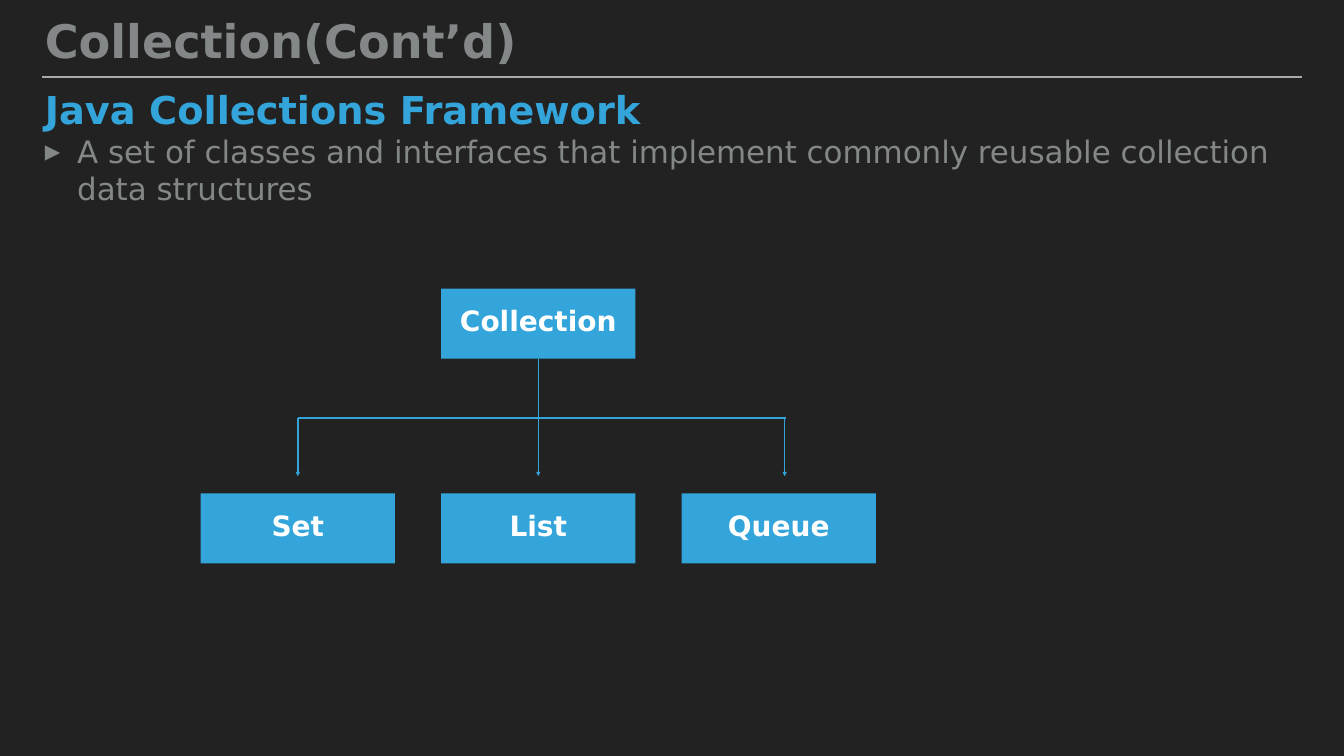
from dataclasses import dataclass

from lxml import etree
from pptx import Presentation
from pptx.dml.color import RGBColor
from pptx.enum.shapes import MSO_CONNECTOR, MSO_SHAPE
from pptx.enum.text import MSO_ANCHOR, PP_ALIGN
from pptx.oxml.ns import qn
from pptx.util import Cm, Pt

COLORS = {
    "background": "222222",
    "rule": "A6AAA9",
    "grey": "838787",
    "blue": "34A5DA",
    "white": "FFFFFF",
}
FONT = "DejaVu Sans"
BOX_WIDTH, BOX_HEIGHT = 9.8, 3.53
BOX_PITCH = 12.12
FIRST_BOX_LEFT = 10.11
PARENT_TOP, CHILD_TOP = 14.55, 24.87
BRANCH_Y, ARROW_END_Y = 21.06, 24.0
QUEUE_ARROW_X, BRANCH_RIGHT = 39.55, 39.62


@dataclass
class TextStyle:
    size: float
    color: str
    bold: bool = True
    spacing: float = 0.8
    align: PP_ALIGN = PP_ALIGN.LEFT
    anchor: MSO_ANCHOR = MSO_ANCHOR.TOP


@dataclass
class TextBlock:
    text: str
    left: float
    top: float
    width: float
    height: float
    style: TextStyle


@dataclass
class Node:
    label: str
    column: int
    top: float


@dataclass
class Line:
    x1: float
    y1: float
    x2: float
    y2: float
    color: str = "blue"
    arrow: bool = False


def rgb(name: str) -> RGBColor:
    return RGBColor.from_string(COLORS[name])


def column_center(column: int) -> float:
    return FIRST_BOX_LEFT + column * BOX_PITCH + BOX_WIDTH / 2


def write_text(shape, text: str, style: TextStyle):
    frame = shape.text_frame
    frame.word_wrap = True
    frame.vertical_anchor = style.anchor
    frame.margin_left = frame.margin_right = Cm(0.15)
    frame.margin_top = frame.margin_bottom = Cm(0.15)
    paragraph = frame.paragraphs[0]
    paragraph.alignment = style.align
    paragraph.line_spacing = style.spacing
    run = paragraph.add_run()
    run.text = text
    run.font.name = FONT
    run.font.size = Pt(style.size)
    run.font.bold = style.bold
    run.font.color.rgb = rgb(style.color)
    return paragraph


def add_text(slide, block: TextBlock):
    box = slide.shapes.add_textbox(
        Cm(block.left), Cm(block.top), Cm(block.width), Cm(block.height)
    )
    return write_text(box, block.text, block.style)


def add_bullet(paragraph, character: str, color: str, indent: float) -> None:
    properties = paragraph._p.get_or_add_pPr()
    properties.set("marL", str(Cm(indent)))
    properties.set("indent", str(-Cm(indent)))
    bullet_color = etree.SubElement(properties, qn("a:buClr"))
    etree.SubElement(bullet_color, qn("a:srgbClr"), val=COLORS[color])
    etree.SubElement(properties, qn("a:buFont"), typeface=FONT)
    etree.SubElement(properties, qn("a:buChar"), char=character)


def add_node(slide, node: Node, style: TextStyle) -> None:
    box = slide.shapes.add_shape(
        MSO_SHAPE.RECTANGLE,
        Cm(FIRST_BOX_LEFT + node.column * BOX_PITCH),
        Cm(node.top),
        Cm(BOX_WIDTH),
        Cm(BOX_HEIGHT),
    )
    box.shadow.inherit = False
    box.fill.solid()
    box.fill.fore_color.rgb = rgb("blue")
    box.line.fill.background()
    write_text(box, node.label, style)


def add_line(slide, line: Line) -> None:
    connector = slide.shapes.add_connector(
        MSO_CONNECTOR.STRAIGHT, Cm(line.x1), Cm(line.y1), Cm(line.x2), Cm(line.y2)
    )
    connector.line.width = Pt(2)
    connector.line.color.rgb = rgb(line.color)
    if line.arrow:
        outline = connector.line._get_or_add_ln()
        etree.SubElement(outline, qn("a:tailEnd"), type="triangle")
    etree.SubElement(connector._element.spPr, qn("a:effectLst"))


def main() -> None:
    presentation = Presentation()
    presentation.slide_width = Cm(67.74)
    presentation.slide_height = Cm(38.1)
    slide = presentation.slides.add_slide(presentation.slide_layouts[6])
    slide.background.fill.solid()
    slide.background.fill.fore_color.rgb = rgb("background")

    title_style = TextStyle(66, "grey", anchor=MSO_ANCHOR.BOTTOM)
    heading_style = TextStyle(54.8, "blue")
    body_style = TextStyle(44.2, "grey", bold=False, spacing=1.0)
    node_style = TextStyle(
        40, "white", align=PP_ALIGN.CENTER, anchor=MSO_ANCHOR.MIDDLE
    )

    add_line(slide, Line(2.11, 3.89, 65.61, 3.89, "rule"))
    add_text(
        slide, TextBlock("Collection(Cont’d)", 2.11, 0.48, 58.22, 3.05, title_style)
    )
    add_text(
        slide,
        TextBlock("Java Collections Framework", 2.11, 4.65, 63.5, 2.82, heading_style),
    )
    definition = add_text(
        slide,
        TextBlock(
            "A set of classes and interfaces that implement commonly "
            "reusable collection data structures",
            2.11, 6.53, 63.5, 6.17, body_style,
        ),
    )
    add_bullet(definition, "▸", "grey", 1.63)

    children = [
        Node(label, column, CHILD_TOP)
        for column, label in enumerate(("Set", "List", "Queue"))
    ]
    for node in [Node("Collection", 1, PARENT_TOP), *children]:
        add_node(slide, node, node_style)

    left_x, middle_x = column_center(0), column_center(1)
    add_line(slide, Line(middle_x, PARENT_TOP + BOX_HEIGHT, middle_x, BRANCH_Y))
    add_line(slide, Line(left_x, BRANCH_Y, BRANCH_RIGHT, BRANCH_Y))
    for x in (left_x, middle_x, QUEUE_ARROW_X):
        add_line(slide, Line(x, BRANCH_Y, x, ARROW_END_Y, arrow=True))

    presentation.save("out.pptx")


main()
